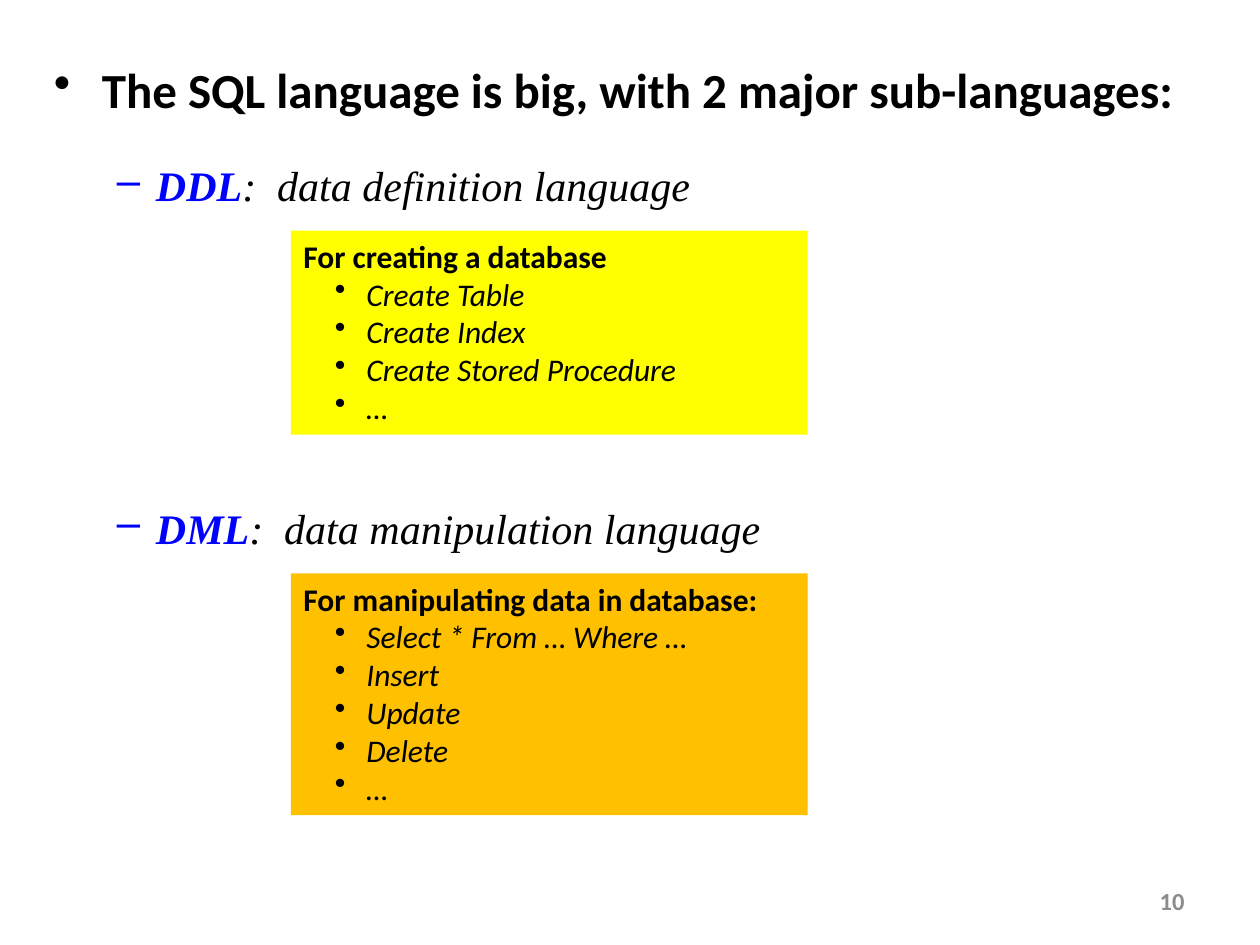
"""Build a slide on the two sub-languages of SQL."""
from dataclasses import dataclass

from lxml import etree
from pptx import Presentation
from pptx import util as u
from pptx.dml.color import RGBColor
from pptx.enum import shapes, text
from pptx.oxml.ns import qn

SANS, SERIF = "Calibri", "Times New Roman"
BLACK, BLUE, GRAY = "000000", "0000FF", "8C8C8C"


@dataclass
class SubLanguage:
    short: str
    meaning: str
    space_before: float
    top: float
    height: float
    fill: str
    purpose: str
    commands: list[str]


SUB_LANGUAGES = [
    SubLanguage("DDL", "data definition language", 24, 1.83, 1.62, "FFFF00",
                "For creating a database",
                ["Create Table", "Create Index", "Create Stored Procedure", "…"]),
    SubLanguage("DML", "data manipulation language", 167, 4.55, 1.92, "FFC000",
                "For manipulating data in database:",
                ["Select * From … Where …", "Insert", "Update", "Delete", "…"]),
]


def color(value: str) -> RGBColor:
    return RGBColor.from_string(value)


def add_run(p, words: str, size: float, name: str = SANS, rgb: str = BLACK,
            bold: bool = False, italic: bool = False) -> None:
    r = p.add_run()
    r.text = words
    r.font.size, r.font.name = u.Pt(size), name
    r.font.bold, r.font.italic = bold, italic
    r.font.color.rgb = color(rgb)


def set_bullet(p, char: str, left: float, hanging: float) -> None:
    pPr = p._p.get_or_add_pPr()
    pPr.set("marL", str(u.Inches(left)))
    pPr.set("indent", str(-u.Inches(hanging)))
    etree.SubElement(pPr, qn("a:buChar")).set("char", char)


def add_text_frame(slide, left: float, top: float, width: float, height: float):
    sp = slide.shapes.add_textbox(u.Inches(left), u.Inches(top),
                                  u.Inches(width), u.Inches(height))
    sp.text_frame.word_wrap = True
    return sp.text_frame


def add_outline(slide, languages: list[SubLanguage]) -> None:
    tf = add_text_frame(slide, 0.33, 0.42, 9.33, 6.28)
    p = tf.paragraphs[0]
    set_bullet(p, "•", 0.38, 0.38)
    add_run(p, "The SQL language is big, with 2 major sub-languages:", 28, bold=True)
    for language in languages:
        p = tf.add_paragraph()
        p.level = 1
        set_bullet(p, "–", 0.81, 0.31)
        p.space_before = u.Pt(language.space_before)
        add_run(p, language.short, 24, SERIF, BLUE, bold=True, italic=True)
        add_run(p, f":  {language.meaning}", 24, SERIF, italic=True)


def add_command_box(slide, language: SubLanguage) -> None:
    sp = slide.shapes.add_shape(shapes.MSO_SHAPE.RECTANGLE, u.Inches(2.31),
                                u.Inches(language.top), u.Inches(4.1),
                                u.Inches(language.height))
    sp.shadow.inherit = False
    sp.fill.solid()
    sp.fill.fore_color.rgb = color(language.fill)
    sp.line.fill.background()
    tf = sp.text_frame
    tf.word_wrap = True
    tf.vertical_anchor = text.MSO_ANCHOR.TOP
    p = tf.paragraphs[0]
    p.alignment = text.PP_ALIGN.LEFT
    add_run(p, language.purpose, 18, bold=True)
    for command in language.commands:
        p = tf.add_paragraph()
        p.alignment = text.PP_ALIGN.LEFT
        set_bullet(p, "•", 0.5, 0.25)
        add_run(p, command, 18, italic=True)


def add_page_number(slide, number: str) -> None:
    tf = add_text_frame(slide, 8.83, 6.95, 0.67, 0.4)
    tf.vertical_anchor = text.MSO_ANCHOR.MIDDLE
    p = tf.paragraphs[0]
    p.alignment = text.PP_ALIGN.RIGHT
    add_run(p, number, 14, rgb=GRAY, bold=True)


def main() -> None:
    prs = Presentation()
    prs.slide_width, prs.slide_height = u.Inches(10), u.Inches(7.5)
    s = prs.slides.add_slide(prs.slide_layouts[6])
    add_outline(s, SUB_LANGUAGES)
    add_page_number(s, "10")
    for language in SUB_LANGUAGES:
        add_command_box(s, language)
    prs.save("out.pptx")


if __name__ == "__main__":
    main()
